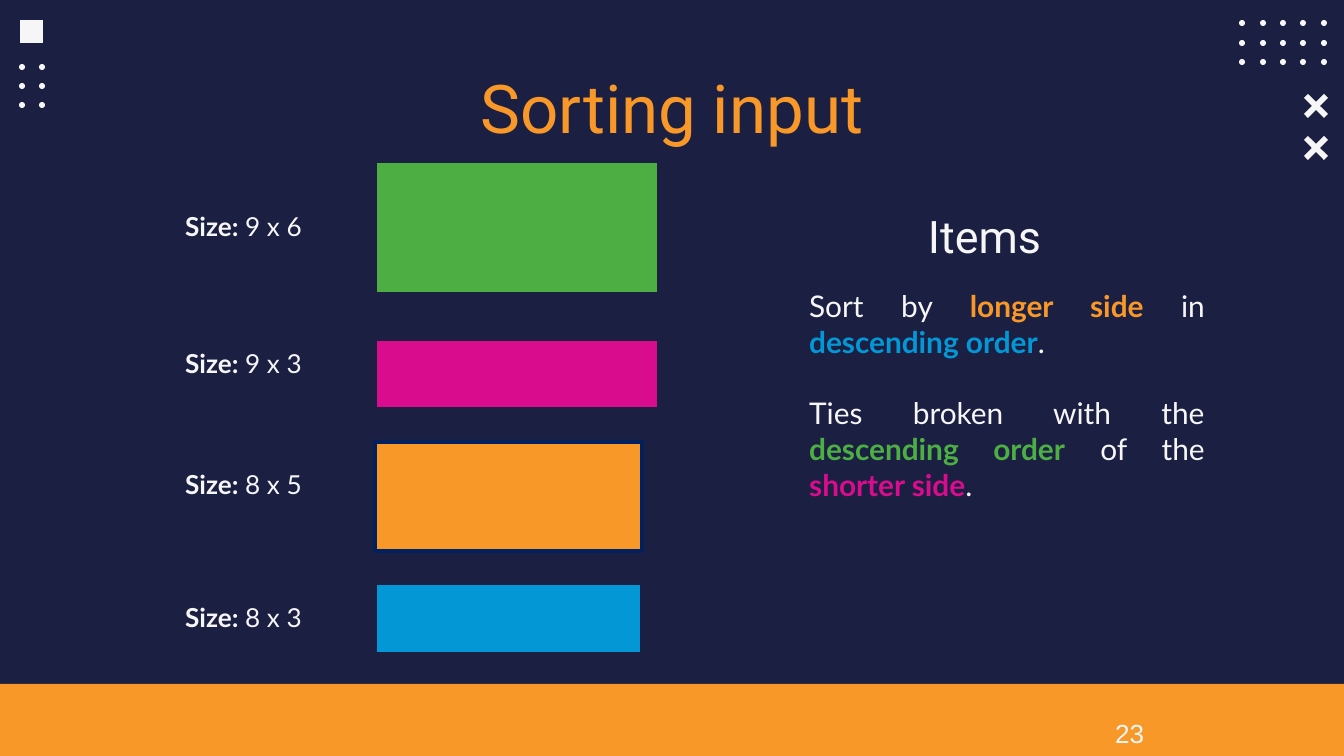
from typing import NamedTuple

import pptx
import pptx.dml.color
import pptx.enum.shapes
import pptx.enum.text
import pptx.shapes.autoshape
import pptx.slide
import pptx.text.text
import pptx.util

RGBColor = pptx.dml.color.RGBColor
Align = pptx.enum.text.PP_ALIGN
Preset = pptx.enum.shapes.MSO_SHAPE

SLIDE_WIDTH, SLIDE_HEIGHT = 1344, 756
EMU_PER_PX = 9144000 / SLIDE_WIDTH

NAVY = RGBColor(0x1B, 0x1F, 0x42)
DARK_BLUE = RGBColor(0x00, 0x20, 0x60)
WHITE = RGBColor(0xF6, 0xF6, 0xF6)
ORANGE = RGBColor(0xF8, 0x98, 0x29)
GREEN = RGBColor(0x4C, 0xAE, 0x43)
BLUE = RGBColor(0x03, 0x97, 0xD6)
MAGENTA = RGBColor(0xD8, 0x0C, 0x8C)


class Box(NamedTuple):
    left: int
    top: int
    width: int
    height: int


class Words(NamedTuple):
    text: str
    color: RGBColor = WHITE
    bold: bool = False


class Style(NamedTuple):
    font: str
    size: int
    align: Align = Align.CENTER
    space_before: float = 0


class DotGrid(NamedTuple):
    left: int
    top: int
    columns: int
    rows: int
    width: int
    height: int


class Item(NamedTuple):
    size: str
    label_top: int
    box: Box
    fill: RGBColor
    outline: RGBColor = NAVY


DOT_SIZE = 6
DOT_GRIDS = [DotGrid(1239, 20, 5, 3, 82, 39), DotGrid(19, 64, 2, 3, 20, 38)]

CROSS_LEFT = 1304
CROSS_TOPS = [94, 136]
CROSS_OUTLINE = [(4, 0), (12, 8), (20, 0), (24, 4), (16, 12), (24, 20),
                 (20, 24), (12, 16), (4, 24), (0, 20), (8, 12), (0, 4)]

ITEMS = [
    Item("9 x 6", 204, Box(375, 161, 284, 133), GREEN),
    Item("9 x 3", 341, Box(375, 339, 284, 70), MAGENTA),
    Item("8 x 5", 462, Box(375, 442, 267, 109), ORANGE, DARK_BLUE),
    Item("8 x 3", 595, Box(375, 583, 267, 71), BLUE),
]

SORTING_RULES = [
    [Words("Sort by "), Words("longer side ", ORANGE, True), Words("in "),
     Words("descending order", BLUE, True), Words(".")],
    [Words("Ties broken with the "), Words("descending order", GREEN, True),
     Words(" of the "), Words("shorter side", MAGENTA, True), Words(".")],
]


def px(length: float) -> pptx.util.Emu:
    return pptx.util.Emu(round(length * EMU_PER_PX))


def paint(shape: pptx.shapes.autoshape.Shape, fill: RGBColor,
          outline: RGBColor | None = None) -> None:
    shape.shadow.inherit = False
    shape.fill.solid()
    shape.fill.fore_color.rgb = fill
    if outline is None:
        shape.line.fill.background()
    else:
        shape.line.color.rgb = outline
        shape.line.width = pptx.util.Pt(2)


def add_block(slide: pptx.slide.Slide, preset: Preset, box: Box, fill: RGBColor,
              outline: RGBColor | None = None) -> None:
    paint(slide.shapes.add_shape(preset, *map(px, box)), fill, outline)


def add_dots(slide: pptx.slide.Slide, grid: DotGrid) -> None:
    for row in range(grid.rows):
        for column in range(grid.columns):
            left = grid.left + grid.width * column / (grid.columns - 1)
            top = grid.top + grid.height * row / (grid.rows - 1)
            dot = Box(round(left), round(top), DOT_SIZE, DOT_SIZE)
            add_block(slide, Preset.OVAL, dot, WHITE)


def add_cross(slide: pptx.slide.Slide, left: int, top: int) -> None:
    corners = [(left + x, top + y) for x, y in CROSS_OUTLINE]
    outline = slide.shapes.build_freeform(*corners[0], scale=EMU_PER_PX)
    outline.add_line_segments(corners[1:], close=True)
    paint(outline.convert_to_shape(), WHITE)


def add_text(slide: pptx.slide.Slide, box: Box, paragraphs: list[list[Words]],
             style: Style) -> pptx.text.text.TextFrame:
    frame = slide.shapes.add_textbox(*map(px, box)).text_frame
    frame.word_wrap = True
    for index, phrases in enumerate(paragraphs):
        paragraph = frame.add_paragraph() if index else frame.paragraphs[0]
        paragraph.alignment = style.align
        paragraph.font.name = style.font
        paragraph.font.size = pptx.util.Pt(style.size)
        if index:
            paragraph.space_before = pptx.util.Pt(style.space_before)
        for phrase in phrases:
            run = paragraph.add_run()
            run.text = phrase.text
            run.font.name = style.font
            run.font.size = pptx.util.Pt(style.size)
            run.font.bold = phrase.bold
            run.font.color.rgb = phrase.color
    return frame


def add_item(slide: pptx.slide.Slide, item: Item) -> None:
    add_block(slide, Preset.RECTANGLE, item.box, item.fill, item.outline)
    label = [Words("Size: ", bold=True), Words(item.size)]
    add_text(slide, Box(163, item.label_top, 161, 46), [label], Style("Lato", 14))


def main() -> None:
    deck = pptx.Presentation()
    deck.slide_width, deck.slide_height = px(SLIDE_WIDTH), px(SLIDE_HEIGHT)
    slide = deck.slides.add_slide(deck.slide_layouts[6])
    slide.background.fill.solid()
    slide.background.fill.fore_color.rgb = NAVY

    for top in CROSS_TOPS:
        add_cross(slide, CROSS_LEFT, top)
    for grid in DOT_GRIDS:
        add_dots(slide, grid)
    add_block(slide, Preset.RECTANGLE, Box(20, 20, 23, 23), WHITE)
    add_block(slide, Preset.RECTANGLE, Box(0, 684, SLIDE_WIDTH, 72), ORANGE)

    title = add_text(slide, Box(105, 47, 1134, 84),
                     [[Words("Sorting input", ORANGE)]], Style("Roboto", 36))
    title.margin_top = px(19)
    add_text(slide, Box(855, 202, 259, 67), [[Words("Items")]], Style("Roboto", 24))
    add_text(slide, Box(796, 281, 422, 195), SORTING_RULES,
             Style("Lato", 16, Align.JUSTIFY, space_before=19.2))
    for item in ITEMS:
        add_item(slide, item)
    add_text(slide, Box(1102, 711, 231, 46), [[Words("23")]],
             Style("Arial", 14, Align.LEFT))

    deck.save("out.pptx")


if __name__ == "__main__":
    main()
